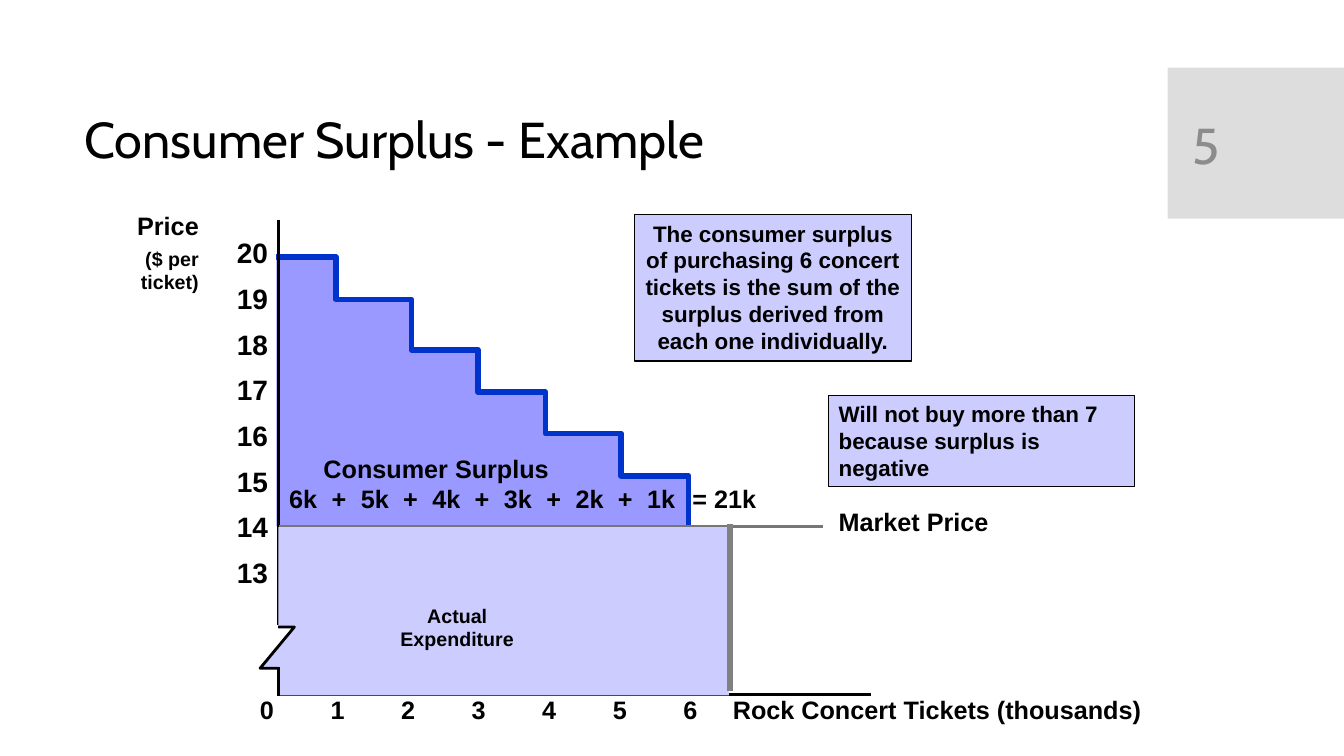
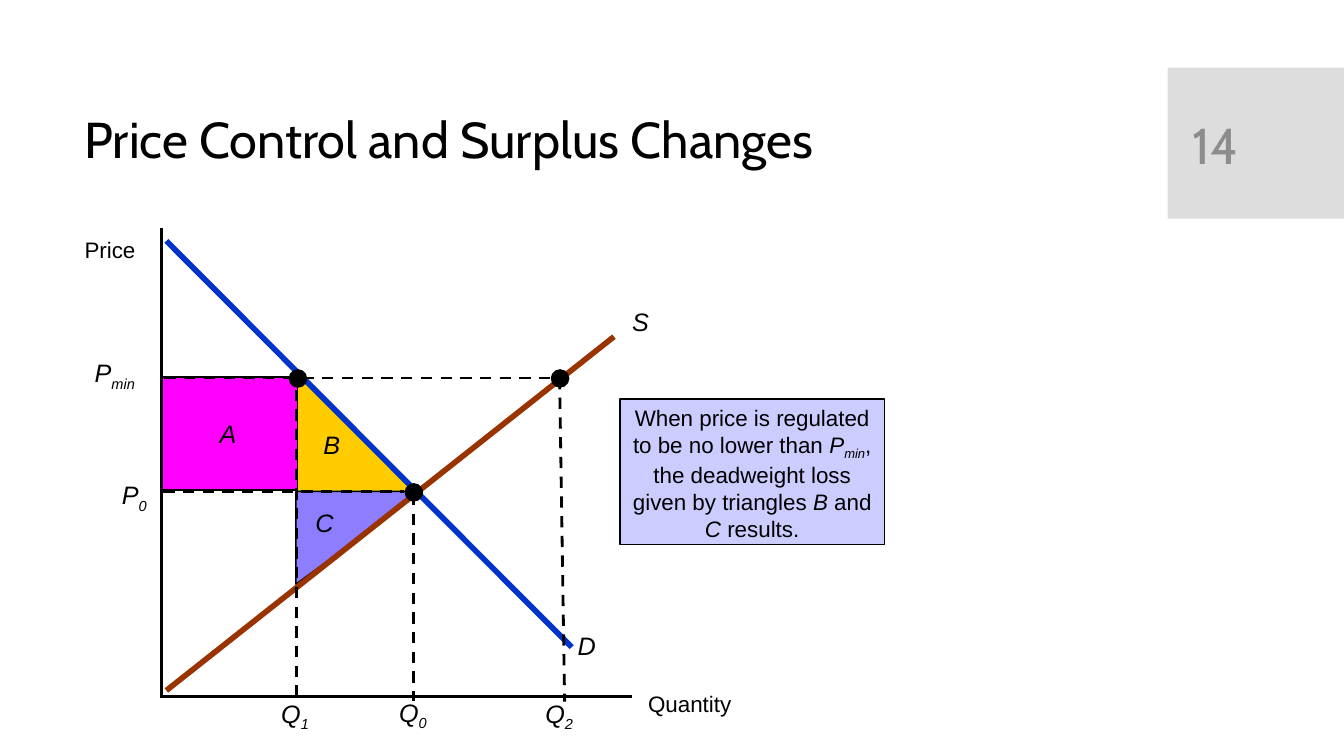
from pptx import Presentation
from pptx.dml.color import RGBColor
from pptx.enum.dml import MSO_LINE
from pptx.enum.shapes import MSO_CONNECTOR, MSO_SHAPE
from pptx.enum.text import MSO_ANCHOR, PP_ALIGN
from pptx.oxml.ns import qn
from pptx.util import Inches, Pt
from lxml.etree import SubElement

BLACK = RGBColor(0x00, 0x00, 0x00)
BAND = RGBColor(0xDD, 0xDD, 0xDD)
NUMBER_GREY = RGBColor(0x8C, 0x8C, 0x8C)
LAVENDER = RGBColor(0xCC, 0xCC, 0xFF)
SURPLUS = RGBColor(0x99, 0x99, 0xFF)
DEMAND = RGBColor(0x00, 0x33, 0xCC)
SUPPLY = RGBColor(0x99, 0x33, 0x00)
MARKET_GREY = RGBColor(0x77, 0x77, 0x77)
QUANTITY_GREY = RGBColor(0x80, 0x80, 0x80)
MAGENTA = RGBColor(0xFF, 0x00, 0xFF)
GOLD = RGBColor(0xFF, 0xCC, 0x00)
VIOLET = RGBColor(0x8D, 0x7D, 0xFF)

BODY_FONT, TITLE_FONT = "Arial", "Cabin"

# Consumer surplus
STAIRS = [(2.74, 2.55), (3.33, 2.55), (3.33, 2.97), (4.08, 2.97), (4.08, 3.47),
          (4.74, 3.47), (4.74, 3.89), (5.41, 3.89), (5.41, 4.3), (6.16, 4.3),
          (6.16, 4.72), (6.83, 4.72), (6.83, 5.22)]
AXIS_BREAK = [(2.76, 6.63), (2.58, 6.63), (2.92, 6.22), (2.76, 6.22)]
EXPENDITURE = [(2.76, 5.23), (7.23, 5.23), (7.23, 6.9), (2.76, 6.9)] + AXIS_BREAK
TERMS = ["6k", "5k", "4k", "3k", "2k", "1k"]
TOTAL = "= 21k"
SURPLUS_NOTE = ["The consumer surplus", "of purchasing 6 concert",
                "tickets is the sum of the", "surplus derived from",
                "each one individually."]
LIMIT_NOTE = "Will not buy more than 7 because surplus is negative"

# Price control: paragraphs made of (text, style) runs
AREA_LABELS = [("A", (2.08, 4.1)), ("B", (3.11, 4.21)), ("C", (3.03, 4.98))]
CURVES = [("S", (6.17, 2.99), (1.65, 6.85), (6.09, 3.34), SUPPLY),
          ("D", (5.63, 6.2), (1.65, 2.39), (5.67, 6.42), DEMAND)]
LEVELS = [("P", "0", (1.11, 4.71, 0.46)), ("P", "min", (0.84, 3.5, 0.66)),
          ("Q", "0", (3.86, 6.87, 0.49)), ("Q", "1", (2.69, 6.88, 0.49)),
          ("Q", "2", (5.31, 6.88, 0.49))]
GUIDES = [((1.62, 4.88), (4.01, 4.88)), ((4.1, 4.9), (4.1, 6.95)),
          ((1.63, 3.75), (5.5, 3.75)), ((2.94, 3.67), (2.94, 6.9)),
          ((5.55, 3.75), (5.6, 6.96))]
DOTS = [(4.02, 4.8), (2.87, 3.67), (5.47, 3.67)]
DOT_SIZE = 0.17
LOSS_NOTE = [("When price is regulated to be no lower than ", ""), ("P", "i"),
             ("min", "sub"), (", the deadweight loss given by triangles ", ""),
             ("B ", "i"), ("and ", ""), ("C ", "i"), ("results.", "")]


def write(shape, paragraphs, size=18, bold=None, italic=None, align=PP_ALIGN.LEFT,
          color=BLACK, font=BODY_FONT, wrap=False, anchor=MSO_ANCHOR.TOP):
    """Fill a shape with paragraphs, each a string or a list of (text, style) runs."""
    frame = shape.text_frame
    frame.word_wrap = wrap
    frame.vertical_anchor = anchor
    for index, content in enumerate(paragraphs):
        paragraph = frame.paragraphs[0] if index == 0 else frame.add_paragraph()
        runs = [(content, "")] if isinstance(content, str) else content
        for words, style in runs:
            run = paragraph.add_run()
            run.text = words
            if style:
                run.font.italic = True
            if style == "sub":
                run.font._element.set("baseline", "-25000")
        paragraph.alignment = align
        paragraph.font.name = font
        paragraph.font.size = Pt(size)
        paragraph.font.bold = bold
        paragraph.font.italic = italic
        paragraph.font.color.rgb = color
    return frame.paragraphs


def add_label(slide, box, paragraphs, **style):
    textbox = slide.shapes.add_textbox(*map(Inches, box))
    return write(textbox, paragraphs, **style)


def paint(shape, fill=None, line=None, width=1):
    shape.shadow.inherit = False
    if fill is None:
        shape.fill.background()
    else:
        shape.fill.solid()
        shape.fill.fore_color.rgb = fill
    if line is None:
        shape.line.fill.background()
    else:
        shape.line.color.rgb = line
        shape.line.width = Pt(width)
    return shape


def add_block(slide, box, fill, line=BLACK, width=1, kind=MSO_SHAPE.RECTANGLE):
    shape = slide.shapes.add_shape(kind, *map(Inches, box))
    return paint(shape, fill, line, width)


def add_outline(slide, points, close=False, **colors):
    corners = [(Inches(x), Inches(y)) for x, y in points]
    builder = slide.shapes.build_freeform(*corners[0])
    builder.add_line_segments(corners[1:], close=close)
    return paint(builder.convert_to_shape(), **colors)


def add_line(slide, start, end, color=BLACK, width=2, dash=None):
    line = slide.shapes.add_connector(MSO_CONNECTOR.STRAIGHT, *map(Inches, start + end))
    line.line.color.rgb = color
    line.line.width = Pt(width)
    if dash:
        line.line.dash_style = dash
    SubElement(line._element.spPr, qn("a:effectLst"))


def add_tab_stops(paragraph, stops):
    tabs = SubElement(paragraph._p.get_or_add_pPr(), qn("a:tabLst"))
    for stop in stops:
        SubElement(tabs, qn("a:tab"), pos=str(Inches(stop)), algn="l")


def start_slide(prs, title, number):
    slide = prs.slides.add_slide(prs.slide_layouts[6])
    add_block(slide, (11.58, 0.67, 1.75, 1.5), BAND, line=None)
    heading = add_label(slide, (0.74, 0.82, 10.51, 1.18), [title], size=36,
                        font=TITLE_FONT, wrap=True, anchor=MSO_ANCHOR.MIDDLE)
    heading[0].line_spacing = 0.9
    add_label(slide, (11.73, 0.84, 1.26, 1.19), [number], size=36, font=TITLE_FONT,
              color=NUMBER_GREY, wrap=True, anchor=MSO_ANCHOR.MIDDLE)
    return slide


def add_surplus_sum(slide):
    """Heading and sum, with the terms spread evenly on tab stops."""
    left, first, pitch, plus = 2.56, 0.21, 0.71, 0.42
    box = slide.shapes.add_textbox(*map(Inches, (left, 4.45, 5.09, 0.7)))
    stops = []
    for index in range(len(TERMS)):
        term_at = first + index * pitch
        stops += [term_at, term_at + plus]
    stops[-1] = 4.21
    heading, total = box.text_frame.paragraphs[0], box.text_frame.add_paragraph()
    heading.text = "Consumer Surplus"
    heading._p.get_or_add_pPr().set("marL", str(Inches(0.55)))
    total.text = "\t" + "\t+\t".join(TERMS) + "\t" + TOTAL
    add_tab_stops(total, stops)
    box.text_frame.word_wrap = True
    for paragraph in (heading, total):
        paragraph.font.name = BODY_FONT
        paragraph.font.size = Pt(18)
        paragraph.font.bold = True
        paragraph.font.color.rgb = BLACK


def build_consumer_surplus(prs):
    slide = start_slide(prs, "Consumer Surplus - Example", "5")
    add_outline(slide, STAIRS + [(2.74, 5.22)], close=True, fill=SURPLUS)
    add_outline(slide, STAIRS, line=DEMAND, width=4)
    add_surplus_sum(slide)

    add_line(slide, (2.77, 6.89), (8.64, 6.89))
    add_line(slide, (2.76, 2.18), (2.76, 6.2))
    price = add_label(slide, (1.25, 2.04, 0.82, 0.94), ["Price", "($ per", "ticket)"],
                      bold=True, align=PP_ALIGN.RIGHT)
    for unit in price[1:]:
        unit.font.size = Pt(14)
    price[1].space_before = Pt(4)
    for index, dollars in enumerate(range(20, 12, -1)):
        add_label(slide, (2.25, 2.29 + index * 0.453, 0.51, 0.43), [str(dollars)],
                  size=20, bold=True)
    for tickets in range(7):
        add_label(slide, (2.48 + tickets * 0.7, 6.84, 0.34, 0.4), [str(tickets)], bold=True)
    add_label(slide, (7.17, 6.84, 4.29, 0.4), ["Rock Concert Tickets (thousands)"], bold=True)

    add_line(slide, (2.77, 5.22), (8.16, 5.22), MARKET_GREY)
    add_label(slide, (8.22, 4.97, 1.7, 0.4), ["Market Price"], bold=True)
    add_outline(slide, EXPENDITURE, close=True, fill=LAVENDER)
    add_label(slide, (3.87, 5.94, 1.33, 0.57), ["Actual", "Expenditure"], size=14,
              bold=True, align=PP_ALIGN.CENTER)
    add_line(slide, (7.24, 5.2), (7.24, 6.86), QUANTITY_GREY, 4)
    add_line(slide, (2.76, 6.9), (2.76, 6.62))
    add_outline(slide, AXIS_BREAK, line=BLACK, width=2)

    write(add_block(slide, (6.29, 2.13, 2.75, 1.45), LAVENDER), SURPLUS_NOTE,
          size=16, bold=True, align=PP_ALIGN.CENTER)
    write(add_block(slide, (8.22, 3.92, 3.03, 0.91), LAVENDER, width=0.75), [LIMIT_NOTE],
          size=16, bold=True, wrap=True)


def build_price_control(prs):
    slide = start_slide(prs, "Price Control and Surplus Changes", "14")
    add_block(slide, (2.94, 3.71, 1.17, 1.17), GOLD, kind=MSO_SHAPE.RIGHT_TRIANGLE)
    add_block(slide, (1.59, 3.74, 1.36, 1.12), MAGENTA)
    lower_loss = add_block(slide, (3.1, 4.71, 0.92, 1.25), VIOLET,
                           kind=MSO_SHAPE.RIGHT_TRIANGLE)
    lower_loss.rotation = 90
    for area, place in AREA_LABELS:
        add_label(slide, place + (0.38, 0.4), [area], italic=True)

    add_line(slide, (1.6, 2.26), (1.6, 6.92))
    add_line(slide, (1.6, 6.91), (6.27, 6.91))
    add_label(slide, (6.33, 6.8, 1.04, 0.37), ["Quantity"], size=16)
    add_label(slide, (0.74, 2.29, 0.71, 0.37), ["Price"], size=16)
    for curve, place, start, end, color in CURVES:
        add_line(slide, start, end, color, 4)
        add_label(slide, place + (0.38, 0.4), [curve], italic=True)

    for start, end in GUIDES:
        add_line(slide, start, end, dash=MSO_LINE.DASH)
    for place in DOTS:
        add_block(slide, place + (DOT_SIZE, DOT_SIZE), BLACK, kind=MSO_SHAPE.OVAL)
    for letter, index, place in LEVELS:
        add_label(slide, place + (0.4,), [[(letter, "i"), (index, "sub")]])

    write(add_block(slide, (6.15, 3.96, 2.62, 1.44), LAVENDER), [LOSS_NOTE],
          size=16, align=PP_ALIGN.CENTER, wrap=True)


def main():
    prs = Presentation()
    prs.slide_width, prs.slide_height = Inches(13.33), Inches(7.5)
    build_consumer_surplus(prs)
    build_price_control(prs)
    prs.save("out.pptx")


if __name__ == "__main__":
    main()
